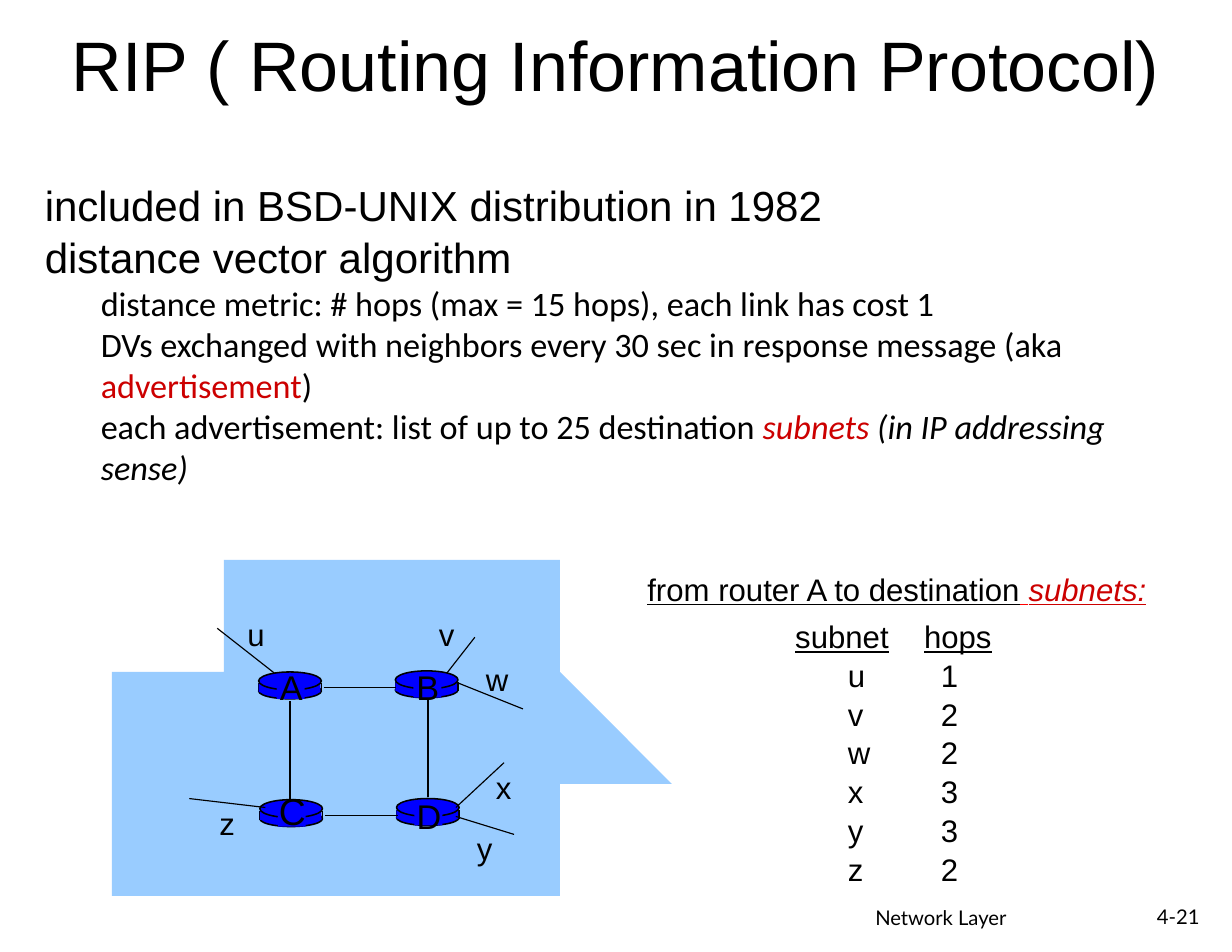
from lxml.etree import SubElement
from pptx import Presentation
from pptx.dml.color import RGBColor
from pptx.enum.shapes import MSO_CONNECTOR, MSO_SHAPE
from pptx.enum.text import MSO_ANCHOR, PP_ALIGN
from pptx.oxml.ns import qn
from pptx.util import Inches, Pt

BLACK, BLUE, RED, SKY = "000000", "0000FF", "CC0000", "99CCFF"
PADDING = (0.11, 0.06)

CLOUD = [
    (1, 6.42),
    (1.02, 6.18), (1.28, 6), (1.47, 5.8),
    (1.66, 5.59), (1.66, 5.28), (2.13, 5.21),
    (2.6, 5.14), (3.79, 5.21), (4.3, 5.36),
    (4.8, 5.52), (4.95, 5.86), (5.18, 6.13),
    (5.41, 6.4), (5.78, 6.71), (5.67, 7),
    (5.56, 7.28), (4.95, 7.67), (4.52, 7.84),
    (4.1, 8), (3.53, 7.97), (3.11, 7.98),
    (2.69, 8), (2.31, 8.03), (1.99, 7.92),
    (1.68, 7.81), (1.39, 7.58), (1.22, 7.33),
    (1.06, 7.08), (1.05, 6.61), (1, 6.42),
]
ROUTERS = [
    ("A", 2.31, 6, 5.9, 22),
    ("B", 3.53, 5.99, 5.9, 22),
    ("C", 2.32, 7.14, 6.99, 24),
    ("D", 3.54, 7.13, 7.05, 22),
]
LINKS = [
    ((3.82, 6.25), (3.82, 7.12)),
    ((2.59, 6.26), (2.59, 7.15)),
    ((2.9, 7.28), (3.55, 7.28)),
    ((2.89, 6.14), (3.54, 6.14)),
]
SUBNETS = [
    ("u", (2.45, 6.01), (1.94, 5.61), (2.11, 5.45), "1"),
    ("v", (3.99, 6.01), (4.24, 5.69), (3.82, 5.45), "2"),
    ("w", (4.07, 6.09), (4.67, 6.33), (4.24, 5.85), "2"),
    ("x", (4.07, 7.21), (4.5, 6.81), (4.33, 6.81), "3"),
    ("y", (4.07, 7.29), (4.59, 7.45), (4.16, 7.36), "3"),
    ("z", (2.37, 7.21), (1.69, 7.13), (1.86, 7.13), "2"),
]


def color(value):
    return RGBColor.from_string(value)


def inches(*values):
    return [Inches(value) for value in values]


def apply(target, values):
    for name, value in values.items():
        setattr(target, name, value)


def add_span(para, text, size, font="Arial", fill=BLACK, **style):
    span = para.add_run()
    span.text = text
    apply(span.font, {"name": font, "size": Pt(size), **style})
    span.font.color.rgb = color(fill)


def format_frame(frame, padding=(0.1, 0.05), wrap=True, anchor=MSO_ANCHOR.TOP):
    side, edge = inches(*padding)
    apply(frame, {
        "margin_left": side, "margin_right": side,
        "margin_top": edge, "margin_bottom": edge,
        "word_wrap": wrap, "vertical_anchor": anchor,
    })


def add_box(page, place, **layout):
    frame = page.shapes.add_textbox(*inches(*place)).text_frame
    format_frame(frame, **layout)
    return frame


def add_label(page, place, text, size, font="Arial", align=PP_ALIGN.LEFT, **layout):
    para = add_box(page, place, **layout).paragraphs[0]
    para.alignment = align
    add_span(para, text, size, font)


def next_para(frame, first):
    return frame.paragraphs[0] if first else frame.add_paragraph()


def add_line(page, start, end, width):
    line = page.shapes.add_connector(MSO_CONNECTOR.STRAIGHT, *inches(*start, *end))
    line.line.color.rgb = color(BLACK)
    line.line.width = Pt(width)
    SubElement(line._element.spPr, qn("a:effectLst"))


def paint(shape, fill, outlined=False):
    shape.shadow.inherit = False
    shape.fill.solid()
    shape.fill.fore_color.rgb = color(fill)
    if outlined:
        shape.line.color.rgb = color(BLACK)
        shape.line.width = Pt(1)
    else:
        shape.line.fill.background()


def add_blue(page, kind, place, outlined=False):
    paint(page.shapes.add_shape(kind, *inches(*place)), BLUE, outlined)


def curve_points(anchors, steps=12):
    for index in range(0, len(anchors) - 1, 3):
        a, b, c, d = anchors[index:index + 4]
        for step in range(1, steps + 1):
            t = step / steps
            s = 1 - t
            yield tuple(
                s**3 * p + 3 * s * s * t * q + 3 * s * t * t * r + t**3 * e
                for p, q, r, e in zip(a, b, c, d)
            )


def add_cloud(page):
    builder = page.shapes.build_freeform(*CLOUD[0], scale=Inches(1))
    builder.add_line_segments(list(curve_points(CLOUD)), close=True)
    paint(builder.convert_to_shape(), SKY)


def add_router(page, name, left, top, label_top, size):
    add_blue(page, MSO_SHAPE.OVAL, (left, top + 0.1, 0.56, 0.14), True)
    for x in (left, left + 0.56):
        add_line(page, (x, top + 0.1), (x, top + 0.18), 1)
    add_blue(page, MSO_SHAPE.RECTANGLE, (left, top + 0.1, 0.55, 0.08))
    add_blue(page, MSO_SHAPE.OVAL, (left, top, 0.56, 0.16), True)
    add_blue(page, MSO_SHAPE.RECTANGLE, (left + 0.16, top + 0.02, 0.25, 0.22))
    add_label(page, (left + 0.07, label_top, 0.44, 0.48), name, size,
              align=PP_ALIGN.CENTER, wrap=False)


def add_title(page, text):
    title = page.shapes.title
    apply(title, dict(zip(("left", "top", "width", "height"),
                          inches(0.64, 0.19, 9.83, 0.76))))
    format_frame(title.text_frame, (0, 0), anchor=MSO_ANCHOR.MIDDLE)
    para = title.text_frame.paragraphs[0]
    para.alignment = PP_ALIGN.LEFT
    add_span(para, text, 45)


def add_body(page):
    frame = add_box(page, (0.4, 1.6, 10.06, 3.97), padding=(0, 0))
    points = ["included in BSD-UNIX distribution in 1982", "distance vector algorithm"]
    details = [
        [("distance metric: # hops (max = 15 hops), each link has cost 1", {})],
        [("DVs exchanged with neighbors every 30 sec in response message (aka ", {}),
         ("advertisement", {"fill": RED}), (")", {})],
        [("each advertisement: list of up to 25 destination ", {}),
         ("subnets ", {"fill": RED, "italic": True}),
         ("(in IP addressing sense)", {"italic": True})],
    ]
    for index, text in enumerate(points):
        para = next_para(frame, index == 0)
        para.space_before = Pt(1.5 * index)
        add_span(para, text, 27)
    for spans in details:
        para = frame.add_paragraph()
        para.level = 1
        para._p.get_or_add_pPr().set("marL", str(Inches(0.5)))
        for text, style in spans:
            add_span(para, text, 22, "Calibri", **style)


def set_tabs(para, *stops):
    tabs = SubElement(para._p.get_or_add_pPr(), qn("a:tabLst"))
    for stop in stops:
        SubElement(tabs, qn("a:tab"), pos=str(Inches(stop)), algn="l")


def add_hops(page):
    heading = add_box(page, (5.67, 5.03, 4.71, 0.45), padding=PADDING, wrap=False)
    para = heading.paragraphs[0]
    add_span(para, "from router A to destination", 20, underline=True)
    add_span(para, " ", 20, fill="FF0000", underline=True)
    add_span(para, "subnets:", 20, fill=RED, underline=True, italic=True)
    frame = add_box(page, (6.99, 5.45, 1.98, 2.81), padding=PADDING)
    para = frame.paragraphs[0]
    set_tabs(para, 1.15)
    add_span(para, "subnet", 20, underline=True)
    add_span(para, "\t", 20)
    add_span(para, "hops", 20, underline=True)
    for name, *_, hops in SUBNETS:
        para = frame.add_paragraph()
        para.space_before = Pt(1)
        set_tabs(para, 0.47, 1.3)
        add_span(para, f"\t{name}\t{hops}", 20)


def main():
    deck = Presentation()
    apply(deck, {"slide_width": Inches(11), "slide_height": Inches(8.5)})
    page = deck.slides.add_slide(deck.slide_layouts[5])
    add_label(page, (6.66, 8.02, 3.48, 0.36), "Network Layer", 13, "Lato",
              PP_ALIGN.CENTER, padding=PADDING)
    add_label(page, (10.01, 8.01, 0.81, 0.34), "4-21", 13, "Lato",
              PP_ALIGN.RIGHT, padding=PADDING)
    add_title(page, "RIP ( Routing Information Protocol)")
    add_body(page)
    add_cloud(page)
    for router in ROUTERS:
        add_router(page, *router)
    for start, end in LINKS:
        add_line(page, start, end, 1)
    for name, start, end, place, _ in SUBNETS:
        add_line(page, start, end, 0.75)
        add_label(page, (*place, 0.36, 0.44), name, 20, wrap=False)
    add_hops(page)
    deck.save("out.pptx")


if __name__ == "__main__":
    main()
